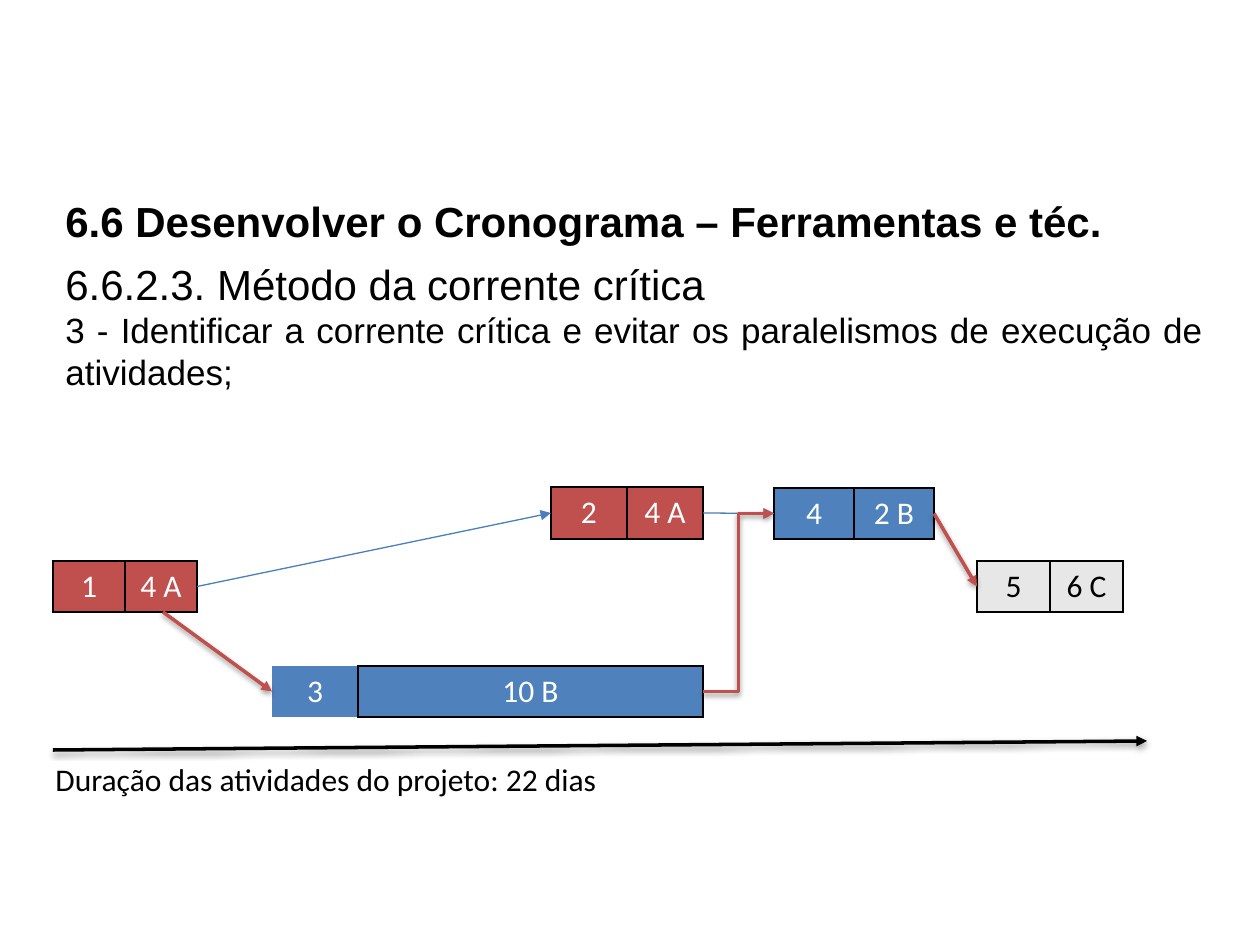
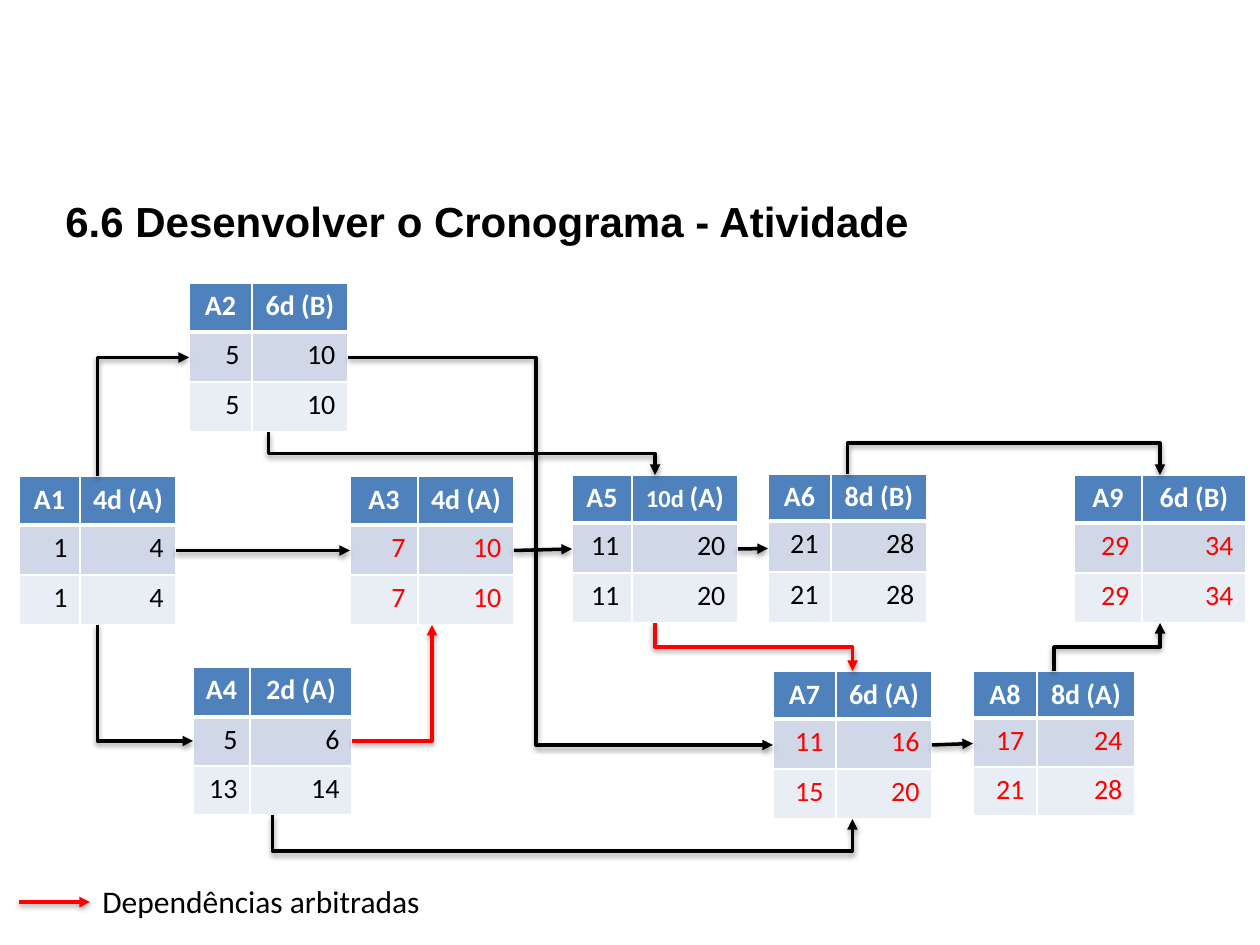
from collections import namedtuple

from lxml.etree import SubElement
from pptx import Presentation
from pptx.dml.color import RGBColor
from pptx.enum.shapes import MSO_CONNECTOR as Link
from pptx.enum.text import MSO_AUTO_SIZE as AutoSize, PP_ALIGN as Align
from pptx.oxml.ns import qn
from pptx.util import Pt

PX = 914400 / 126
COLORS = {
    "black": "000000",
    "white": "FFFFFF",
    "red": "FF0000",
    "brick": "C0504D",
    "blue": "4F81BD",
    "thin": "4B7EBC",
    "gray": "E7E7E7",
    "band_dark": "D0D8E8",
    "band_light": "E9EDF4",
}
EDGES = ("L", "R", "T", "B")
SIDES = {"left": (0, 0.5), "right": (1, 0.5), "top": (0.5, 0), "bottom": (0.5, 1)}

Box = namedtuple("Box", "left top width height")


def emu(px):
    return round(px * PX)


def rgb(name):
    return RGBColor.from_string(COLORS[name])


def site(box, side):
    across, down = SIDES[side]
    return box.left + box.width * across, box.top + box.height * down


def add_run(paragraph, text, size, color="black", font="Calibri", bold=False):
    run = paragraph.add_run()
    run.text = text
    run.font.size = Pt(size)
    run.font.name = font
    run.font.bold = bold
    run.font.color.rgb = rgb(color)


def add_frame(slide, box, wrap=False, grow=True):
    frame = slide.shapes.add_textbox(*map(emu, box)).text_frame
    frame.word_wrap = wrap
    frame.auto_size = AutoSize.SHAPE_TO_FIT_TEXT if grow else AutoSize.NONE
    return frame


def add_title(slide, title):
    frame = add_frame(slide, Box(53, 189, 1060, 63), grow=False)
    add_run(frame.paragraphs[0], title, 24, font="Arial", bold=True)


def add_caption(slide, box, caption):
    add_run(add_frame(slide, box).paragraphs[0], caption, 18)


def add_body(slide, box, lines):
    frame = add_frame(slide, box, wrap=True)
    for index, (text, size) in enumerate(lines):
        paragraph = frame.paragraphs[0] if index == 0 else frame.add_paragraph()
        paragraph.alignment = Align.JUSTIFY
        add_run(paragraph, text, size, font="Arial")


def set_borders(cell, color, widths):
    properties = cell._tc.get_or_add_tcPr()
    for edge, width in zip(EDGES, widths):
        line = SubElement(properties, qn(f"a:ln{edge}"), w=str(Pt(width)))
        if width:
            fill = SubElement(line, qn("a:solidFill"))
            SubElement(fill, qn("a:srgbClr"), val=COLORS[color])
        else:
            SubElement(line, qn("a:noFill"))


def add_grid(slide, left, top, columns, rows):
    box = Box(left, top, sum(columns), sum(rows))
    frame = slide.shapes.add_table(len(rows), len(columns), *map(emu, box))
    grid = frame.table
    grid.first_row = grid.horz_banding = False
    for column, width in zip(grid.columns, columns):
        column.width = emu(width)
    for row, height in zip(grid.rows, rows):
        row.height = emu(height)
    return grid, box


def fill_cell(cell, runs, align, fill, color, bold, edge_color, edge_widths):
    set_borders(cell, edge_color, edge_widths)
    cell.fill.solid()
    cell.fill.fore_color.rgb = rgb(fill)
    paragraph = cell.text_frame.paragraphs[0]
    paragraph.alignment = align
    for text, size in runs:
        add_run(paragraph, text, size, color, bold=bold)


def add_task(slide, left, top, columns, number, effort, fill,
             color="white", height=51, open_number=False):
    grid, box = add_grid(slide, left, top, columns, [height])
    number_edges = (0, 1, 0, 0) if open_number else (1, 1, 1, 1)
    for cell, text, edges in zip(grid.rows[0].cells, (number, effort),
                                 (number_edges, (1, 1, 1, 1))):
        fill_cell(cell, [(text, 18)], Align.CENTER, fill, color, False, "black", edges)
    return box


def add_activity(slide, name, effort, left, top, columns, heights, dates, color="black"):
    head, body = heights
    grid, box = add_grid(slide, left, top, columns, [head, body, body])
    for cell, runs in zip(grid.rows[0].cells, ([(name, 16)], effort)):
        fill_cell(cell, runs, Align.CENTER, "blue", "white", True, "white", (1, 1, 1, 3))
    for row, fill, values in zip((1, 2), ("band_dark", "band_light"), dates):
        for column, value in enumerate(values):
            fill_cell(grid.cell(row, column), [(str(value), 16)], Align.RIGHT,
                      fill, color, False, "white", (1, 1, 3 if row == 1 else 1, 1))
    return box


def style_arrow(arrow, color, width, shadow):
    arrow.line.color.rgb = rgb(color)
    arrow.line.width = Pt(width)
    properties = arrow._element.spPr
    SubElement(properties.find(qn("a:ln")), qn("a:tailEnd"), type="triangle")
    effects = SubElement(properties, qn("a:effectLst"))
    if shadow:
        outer = SubElement(effects, qn("a:outerShdw"), blurRad="40000",
                           dist="20000", dir="5400000", rotWithShape="0")
        tint = SubElement(outer, qn("a:srgbClr"), val=COLORS["black"])
        SubElement(tint, qn("a:alpha"), val="38000")


def add_arrow(slide, start, end, color="black", width=2, shadow=True):
    arrow = slide.shapes.add_connector(Link.STRAIGHT, *map(emu, (*start, *end)))
    style_arrow(arrow, color, width, shadow)


def add_elbow(slide, origin, origin_side, target, target_side, color="black", turn=None):
    (x1, y1), (x2, y2) = site(origin, origin_side), site(target, target_side)
    upright = ("top", "bottom")
    vertical = origin_side in upright
    corner = vertical != (target_side in upright)
    ends = (x1, y1, x2, y2)
    if vertical:
        mid_x, mid_y = (x1 + x2) / 2, (y1 + y2) / 2
        half_w, half_h = abs(y2 - y1) / 2, (x2 - x1) / 2
        rise = half_h if y2 < y1 else -half_h
        ends = (mid_x + half_w, mid_y + rise, mid_x - half_w, mid_y - rise)
    elbow = slide.shapes.add_connector(Link.ELBOW, *map(emu, ends))
    properties = elbow._element.spPr
    if vertical:
        degrees = 90 if y2 < y1 else 270
        properties.find(qn("a:xfrm")).set("rot", str(degrees * 60000))
    shape = properties.find(qn("a:prstGeom"))
    if corner:
        shape.set("prst", "bentConnector2")
    elif turn is not None:
        first, last = (y1, y2) if vertical else (x1, x2)
        share = round((turn - first) / (last - first) * 100000)
        SubElement(shape.find(qn("a:avLst")), qn("a:gd"), name="adj1", fmla=f"val {share}")
    style_arrow(elbow, color, 2, True)


def build_critical_chain(slide):
    add_body(slide, Box(53, 252, 1163, 149), [
        ("6.6.2.3. Método da corrente crítica", 24),
        ("3 - Identificar a corrente crítica e evitar os paralelismos "
         "de execução de atividades;", 20),
    ])
    add_title(slide, "6.6 Desenvolver o Cronograma – Ferramentas e téc.")
    task1 = add_task(slide, 53, 561, (72, 72), "1", "4 A", "brick")
    task2 = add_task(slide, 551, 487, (76, 76), "2", "4 A", "brick", height=52)
    task4 = add_task(slide, 774, 488, (80, 80), "4", "2 B", "blue")
    task5 = add_task(slide, 977, 561, (73, 73), "5", "6 C", "gray", color="black")
    task3 = add_task(slide, 272, 666, (86, 345), "3", "10 B", "blue", open_number=True)

    for origin, target in ((task1, task2), (task2, task4)):
        add_arrow(slide, site(origin, "right"), site(target, "left"), "thin", 0.75, False)
    add_arrow(slide, (163, 612), site(task3, "left"), "brick")
    add_arrow(slide, site(task4, "right"), site(task5, "left"), "brick")
    add_elbow(slide, task3, "right", task4, "left", "brick")

    add_caption(slide, Box(43, 754, 573, 51), "Duração das atividades do projeto: 22 dias")
    add_arrow(slide, (53, 750), (1147, 741))


def build_activity_network(slide):
    add_title(slide, "6.6 Desenvolver o Cronograma - Atividade")
    activities = (
        ("A1", [("4d (A)", 16)], 19, 476, (61, 96), (49, 50), ((1, 4), (1, 4)), "black"),
        ("A2", [("6d (B)", 16)], 189, 283, (63, 96), (49, 50), ((5, 10), (5, 10)), "black"),
        ("A3", [("4d (A)", 16)], 350, 476, (68, 96), (49, 50), ((7, 10), (7, 10)), "red"),
        ("A4", [("2d (A)", 16)], 193, 667, (57, 102), (50, 49), ((5, 6), (13, 14)), "black"),
        ("A5", [("10d ", 14), ("(A)", 16)], 572, 475, (60, 106), (48, 50),
         ((11, 20), (11, 20)), "black"),
        ("A6", [("8d (B)", 16)], 768, 474, (63, 96), (47, 51), ((21, 28), (21, 28)), "black"),
        ("A7", [("6d (A)", 16)], 773, 671, (63, 96), (48, 50), ((11, 16), (15, 20)), "red"),
        ("A8", [("8d (A)", 16)], 973, 671, (64, 98), (47, 49), ((17, 24), (21, 28)), "red"),
        ("A9", [("6d (B)", 16)], 1074, 475, (68, 104), (48, 50), ((29, 34), (29, 34)), "red"),
    )
    boxes = {activity[0]: add_activity(slide, *activity) for activity in activities}

    for origin, target in (("A1", "A3"), ("A7", "A8"), ("A5", "A6"), ("A3", "A5")):
        add_arrow(slide, site(boxes[origin], "right"), site(boxes[target], "left"))

    dependencies = (
        ("A4", "bottom", "A7", "bottom", "black", 851),
        ("A2", "bottom", "A5", "top", "black", None),
        ("A6", "top", "A9", "top", "black", 443),
        ("A8", "top", "A9", "bottom", "black", None),
        ("A5", "bottom", "A7", "top", "red", None),
        ("A2", "right", "A7", "left", "black", 536),
        ("A4", "right", "A3", "bottom", "red", None),
        ("A1", "top", "A2", "left", "black", None),
        ("A1", "bottom", "A4", "left", "black", None),
    )
    for origin, origin_side, target, target_side, color, turn in dependencies:
        add_elbow(slide, boxes[origin], origin_side, boxes[target], target_side, color, turn)

    add_arrow(slide, (19, 902), (90, 902), "red")
    add_caption(slide, Box(90, 876, 346, 51), "Dependências arbitradas")


def main():
    deck = Presentation()
    deck.slide_width, deck.slide_height = emu(1260), emu(945)
    blank = deck.slide_layouts[6]
    for build in (build_critical_chain, build_activity_network):
        build(deck.slides.add_slide(blank))
    deck.save("out.pptx")


if __name__ == "__main__":
    main()
